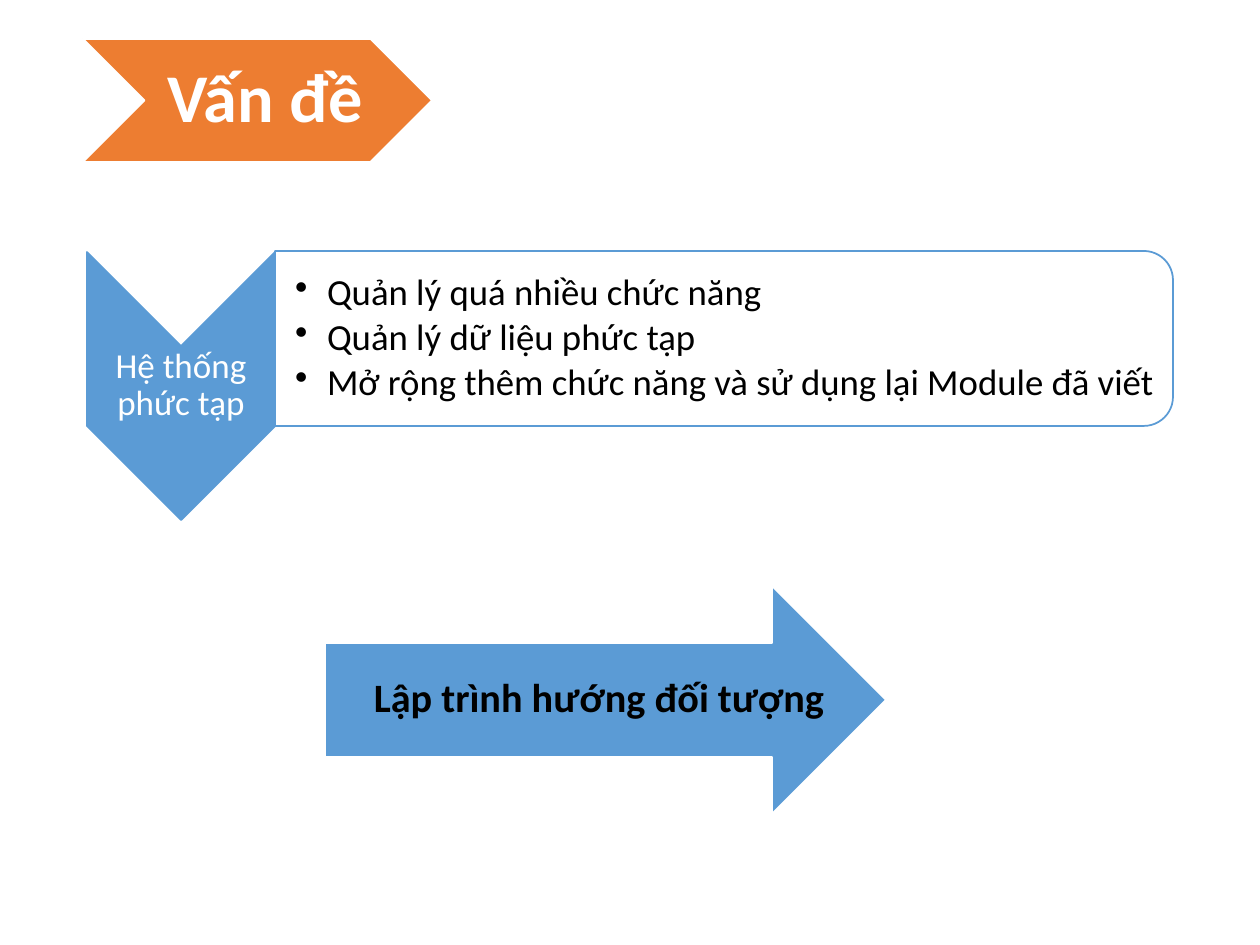
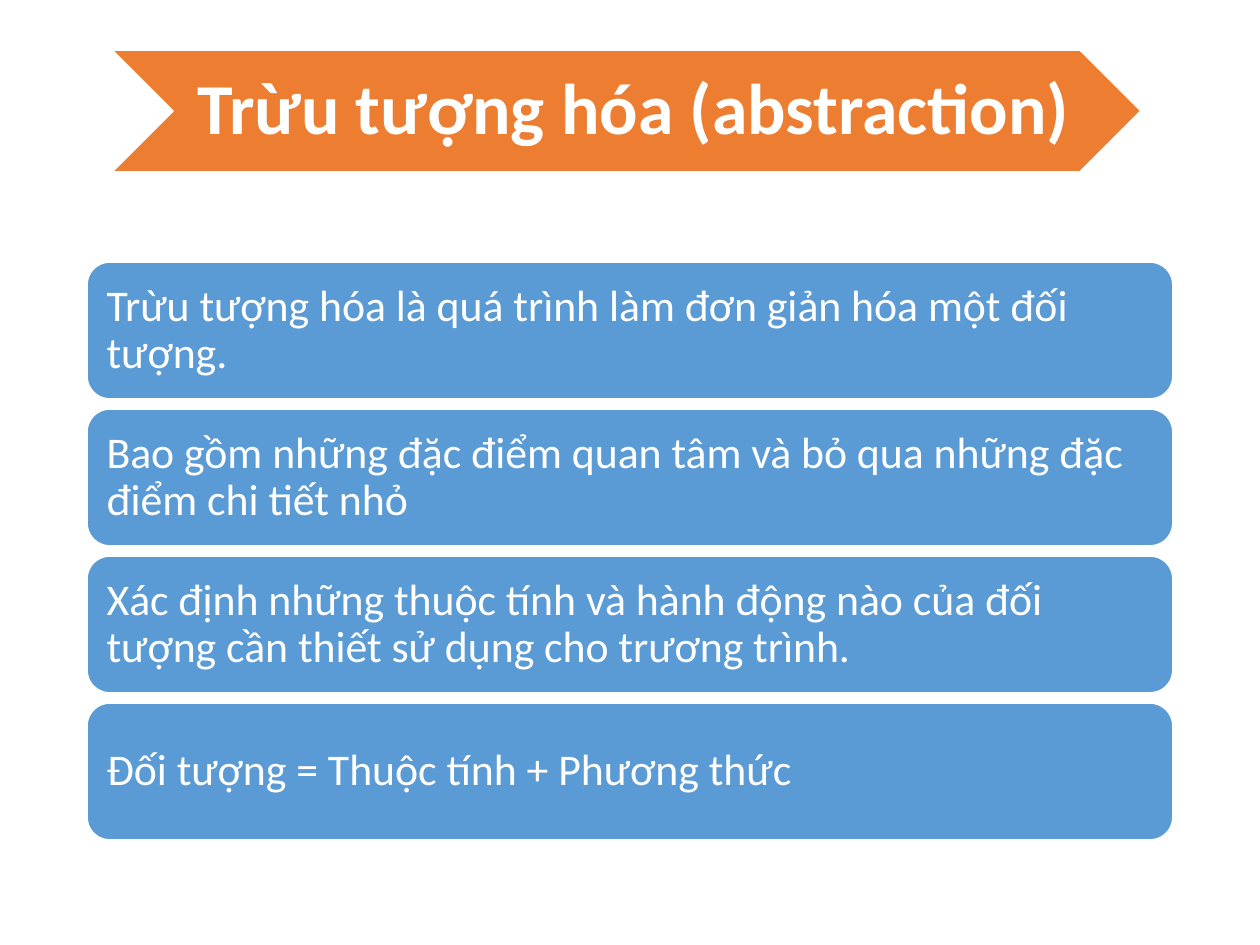
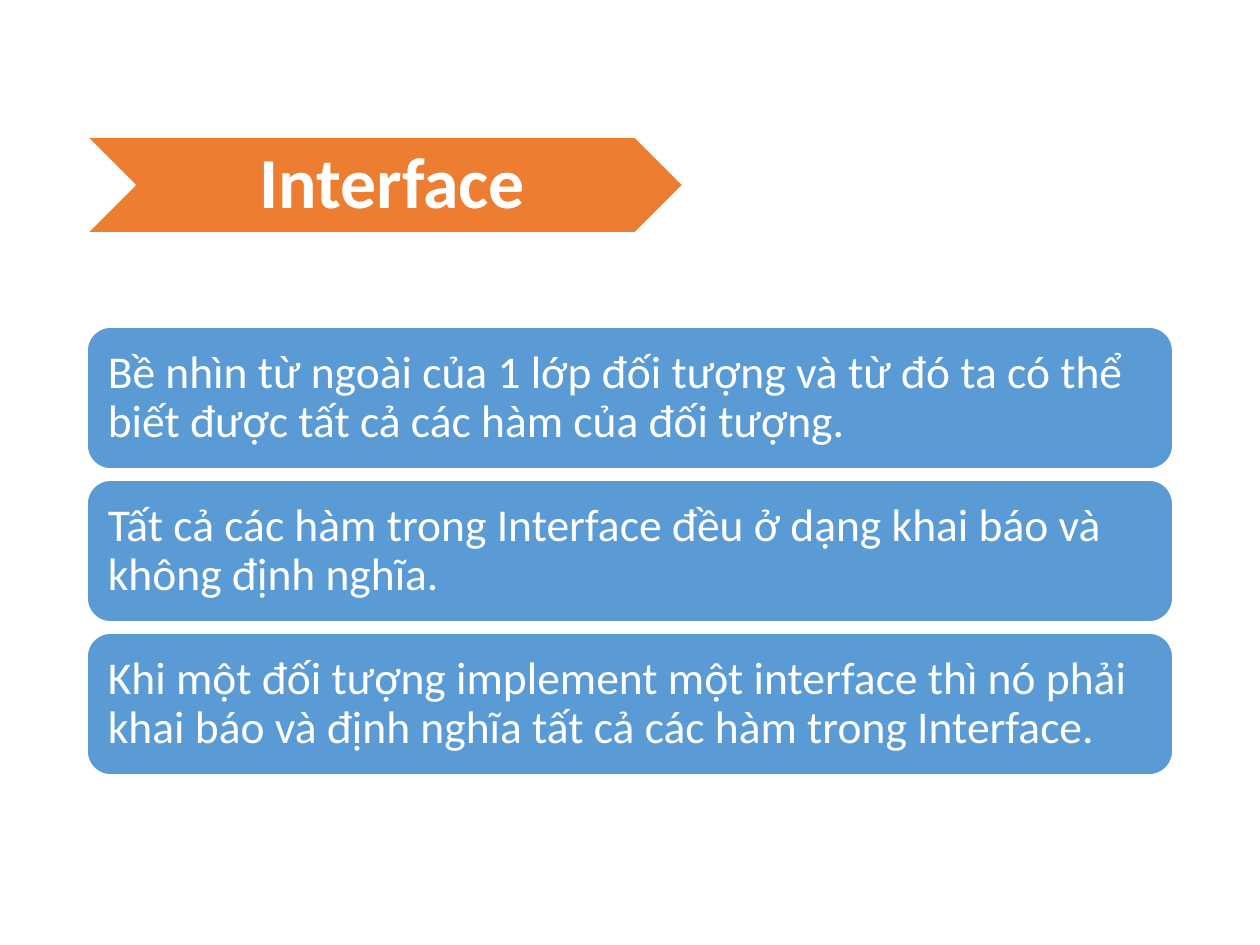
from lxml.etree import SubElement
from pptx import Presentation
from pptx.dml.color import RGBColor
from pptx.enum.shapes import MSO_SHAPE as SHAPE
from pptx.enum.text import MSO_ANCHOR as ANCHOR, PP_ALIGN as ALIGN
from pptx.oxml.ns import qn
from pptx.util import Emu, Pt

EMU_PER_PX = 914400 / 126
SLIDE_W, SLIDE_H = 1260, 945
CARD_X, CARD_W = 87, 1086

COLORS = {"orange": "ED7D31", "blue": "5B9BD5", "white": "FFFFFF", "black": "000000"}


def px(n):
    return Emu(round(n * EMU_PER_PX))


def rgb(name):
    return RGBColor.from_string(COLORS[name])


def set_all(obj, values):
    for name, value in values.items():
        setattr(obj, name, value)


def shape(s, kind, box, fill, line="white", quarter_turn=False):
    """Add a preset shape; box is the area it covers after any quarter turn."""
    x, y, w, h = box
    if quarter_turn:
        x, y, w, h = x + (w - h) / 2, y + (h - w) / 2, h, w
    sp = s.shapes.add_shape(kind, *map(px, (x, y, w, h)))
    sp.shadow.inherit = False
    sp.rotation = 90 if quarter_turn else 0
    sp.fill.solid()
    sp.fill.fore_color.rgb = rgb(fill)
    sp.line.color.rgb = rgb(line)
    sp.line.width = Pt(1)
    return sp


def write(sp, lines, size, insets, color="white", bold=False, align=ALIGN.LEFT, bullets=False):
    """Fill a shape with paragraphs; insets run left, top, right, bottom."""
    tf = sp.text_frame
    sides = ("margin_left", "margin_top", "margin_right", "margin_bottom")
    set_all(tf, dict(zip(sides, map(px, insets)), word_wrap=True, vertical_anchor=ANCHOR.MIDDLE))
    for i, text in enumerate(lines):
        p = tf.paragraphs[0] if i == 0 else tf.add_paragraph()
        set_all(p, {"alignment": align, "line_spacing": 0.9})
        r = p.add_run()
        r.text = text
        set_all(r.font, {"name": "Calibri", "size": Pt(size), "bold": bold})
        r.font.color.rgb = rgb(color)
        if bullets:
            p.space_after = Pt(3)
            add_bullet(p)


def add_bullet(p):
    pPr = p._p.get_or_add_pPr()
    indent = px(32)
    pPr.set("marL", str(indent))
    pPr.set("indent", str(-indent))
    SubElement(pPr, qn("a:buChar")).set("char", "•")


def text_box(s, box, lines, size, insets, **style):
    write(s.shapes.add_textbox(*map(px, box)), lines, size, insets, **style)


def title(s, text, box, size):
    sp = shape(s, SHAPE.CHEVRON, box, "orange")
    write(sp, [text], size, (22, 7, 7, 7), bold=True, align=ALIGN.CENTER)


def cards(s, texts, top, height, gap, size, inset):
    for i, text in enumerate(texts):
        box = (CARD_X, top + i * (height + gap), CARD_W, height)
        sp = shape(s, SHAPE.ROUNDED_RECTANGLE, box, "blue")
        write(sp, [text], size, [inset] * 4)


def problem_slide(s):
    title(s, "Vấn đề", (83, 39, 349, 123), 39)

    shape(s, SHAPE.CHEVRON, (87, 252, 188, 268), "blue", "blue", quarter_turn=True)
    text_box(s, (87, 345, 188, 81), ["Hệ thống phức tạp"], 20, [1] * 4, align=ALIGN.CENTER)

    shape(s, SHAPE.ROUND_2_SAME_RECTANGLE, (275, 251, 898, 175), "white", "blue", quarter_turn=True)
    issues = [
        "Quản lý quá nhiều chức năng",
        "Quản lý dữ liệu phức tạp",
        "Mở rộng thêm chức năng và sử dụng lại Module đã viết",
    ]
    text_box(s, (275, 260, 890, 158), issues, 21, (20, 1, 1, 1), color="black", bullets=True)

    arrow = shape(s, SHAPE.RIGHT_ARROW, (325, 586, 561, 228), "blue")
    write(arrow, ["Lập trình hướng đối tượng"], 23, (45, 33, 0, 33),
          color="black", bold=True, align=ALIGN.CENTER)


def abstraction_slide(s):
    title(s, "Trừu tượng hóa (abstraction)", (112, 50, 1029, 122), 41)
    cards(s, [
        "Trừu tượng hóa là quá trình làm đơn giản hóa một đối tượng.",
        "Bao gồm những đặc điểm quan tâm và bỏ qua những đặc điểm chi tiết nhỏ",
        "Xác định những thuộc tính và hành động nào của đối tượng cần thiết sử dụng cho trương trình.",
        "Đối tượng = Thuộc tính + Phương thức",
    ], top=262, height=137, gap=10, size=25, inset=13)


def interface_slide(s):
    title(s, "Interface", (87, 137, 596, 96), 41)
    cards(s, [
        "Bề nhìn từ ngoài của 1 lớp đối tượng và từ đó ta có thể biết được tất cả các hàm của đối tượng.",
        "Tất cả các hàm trong Interface đều ở dạng khai báo và không định nghĩa.",
        "Khi một đối tượng implement một interface thì nó phải khai báo và định nghĩa "
        "tất cả các hàm trong Interface.",
    ], top=327, height=142, gap=11, size=26, inset=14)


def main():
    prs = Presentation()
    set_all(prs, {"slide_width": px(SLIDE_W), "slide_height": px(SLIDE_H)})
    for build in (problem_slide, abstraction_slide, interface_slide):
        build(prs.slides.add_slide(prs.slide_layouts[6]))
    prs.save("out.pptx")


if __name__ == "__main__":
    main()
